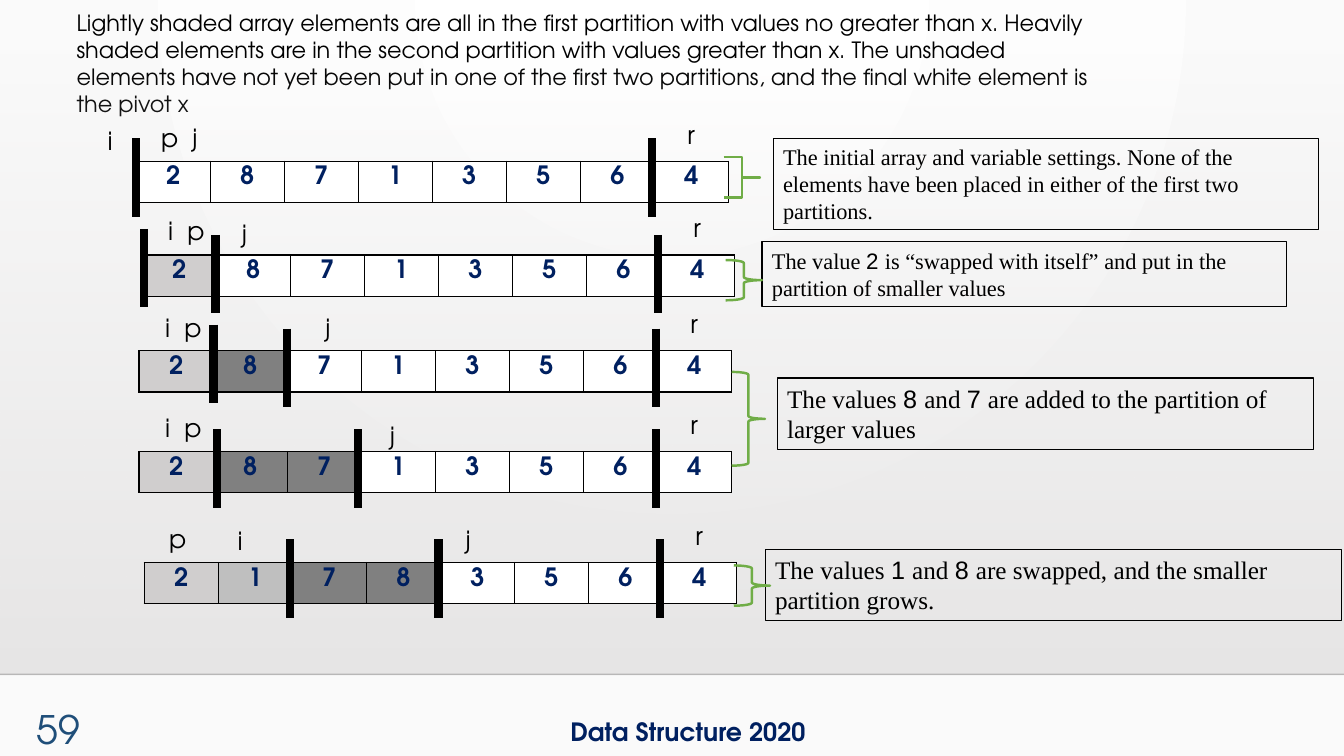
from lxml import etree
from pptx import Presentation
from pptx.dml.color import RGBColor
from pptx.enum.shapes import MSO_CONNECTOR, MSO_SHAPE
from pptx.enum.text import MSO_ANCHOR, MSO_AUTO_SIZE, PP_ALIGN
from pptx.oxml.ns import qn
from pptx.util import Emu, Pt

RECT, BRACE, STRAIGHT = MSO_SHAPE.RECTANGLE, MSO_SHAPE.RIGHT_BRACE, MSO_CONNECTOR.STRAIGHT
LEFT, CENTER, RIGHT = PP_ALIGN.LEFT, PP_ALIGN.CENTER, PP_ALIGN.RIGHT
TOP, NO_FIT = MSO_ANCHOR.TOP, MSO_AUTO_SIZE.NONE
SANS, SERIF, DIGITS = "TeX Gyre Adventor", "Times New Roman", "Arial"
BLACK, NAVY, GREEN = "000000", "002060", "70AD47"
WHITE, LIGHT, MID, HEAVY = "FFFFFF", "D0CECE", "BFBFBF", "808080"
ARRAY_W, ARRAY_H, BAR_H, LABEL_H = 588, 41, 78, 40
PIVOT_LABEL = ("r", 537, -47, 24)

# Labels are (text, dx, dy, width) and bars (dx, dy), both from the array's corner.
STEPS = [
    dict(x=135, y=160, values="28713564", shades=[],
         labels=[("p\tj", 15, -44, 74), ("i", -38, -41, 38)],
         bars=[(0, -23), (512, -23)]),
    dict(x=141, y=253, values="28713564", shades=[LIGHT],
         labels=[("i\tp", 16, -44, 74), ("j", 89, -41, 38)],
         bars=[(2, -26), (73, -20), (512, -20)]),
    dict(x=138, y=348, values="28713564", shades=[LIGHT, HEAVY],
         labels=[("i\tp", 16, -43, 74), ("j", 175, -43, 38)],
         bars=[(74, -26), (147, -22), (513, -22)]),
    dict(x=138, y=448, values="28713564", shades=[LIGHT, HEAVY, HEAVY],
         labels=[("i\tp", 16, -44, 74), ("j", 239, -36, 38)],
         bars=[(77, -22), (217, -22), (513, -22)]),
    dict(x=143, y=558, values="21783564", shades=[LIGHT, MID, HEAVY, HEAVY],
         labels=[("p", 15, -44, 53), ("i", 83, -42, 53), ("j", 309, -43, 38)],
         bars=[(145, -23), (292, -23), (512, -23)]),
]
TAB_STOPS = {"p\tj": 31, "i\tp": 19}

NOTES = [
    ((767, 137, 541, 91), 16, ["The initial array and variable settings. None of the elements "
                               "have been placed in either of the first two partitions."]),
    ((756, 240, 520, 64), 16, ["The value ", "2 ", "is “swapped with itself” and put in the "
                               "partition of smaller values"]),
    ((771, 375, 532, 71), 18, ["The values ", "8 ", "and ", "7 ",
                               "are added to the partition of larger values"]),
    ((759, 545, 572, 71), 18, ["The values ", "1 ", "and ", "8 ",
                               "are swapped, and the smaller partition grows."]),
]
BRACES = [((718, 156, 36, 40), [0, 0.5]), ((720, 258, 36, 40), []),
          ((726, 369, 33, 93), []), ((728, 561, 36, 40), [])]
INTRO = ("Lightly shaded array elements are all in the first partition with values no greater "
         "than x. Heavily shaded elements are in the second partition with values greater than x. "
         "The unshaded elements have not yet been put in one of the first two partitions, and "
         "the final white element is the pivot x")


def px(*lengths):
    """Turn lengths at 100 px to the inch into EMU."""
    return [Emu(n * 9144) for n in lengths]


def rgb(color):
    return RGBColor.from_string(color)


def add_run(p, text, size, color=BLACK, **fmt):
    r = p.add_run()
    r.text = text
    for name, value in {"name": SANS, "size": Pt(size), **fmt}.items():
        setattr(r.font, name, value)
    r.font.color.rgb = rgb(color)


def add_text(slide, box, text, size, color=BLACK, align=LEFT, wrap=True, **fmt):
    tf = slide.shapes.add_textbox(*px(*box)).text_frame
    tf.word_wrap = wrap
    p = tf.paragraphs[0]
    p.alignment = align
    if text in TAB_STOPS:
        tabs = etree.SubElement(p._p.get_or_add_pPr(), qn("a:tabLst"))
        etree.SubElement(tabs, qn("a:tab"), pos=str(px(TAB_STOPS[text])[0]), algn="l")
    add_run(p, text, size, color, **fmt)


def add_outline(slide, kind, box, color, width):
    sp = slide.shapes.add_shape(kind, *px(*box))
    sp.shadow.inherit = False
    sp.fill.background()
    sp.line.color.rgb = rgb(color)
    sp.line.width = Pt(width)
    return sp


def add_line(slide, x1, y1, x2, y2, width, color=BLACK):
    line = slide.shapes.add_connector(STRAIGHT, *px(x1, y1, x2, y2))
    line.line.color.rgb = rgb(color)
    line.line.width = Pt(width)
    etree.SubElement(line._element.spPr, qn("a:effectLst"))
    return line


def set_alpha(color_element, percent):
    etree.SubElement(color_element, qn("a:alpha"), val=str(percent * 1000))


def set_gradient(fill, first, last):
    fill.gradient()
    for stop, color in zip(fill.gradient_stops, (first, last)):
        stop.color.rgb = rgb(color)


def border_cell(cell):
    tcPr = cell._tc.get_or_add_tcPr()
    for i, side in enumerate(("lnL", "lnR", "lnT", "lnB")):
        ln = etree.Element(qn("a:" + side), w=str(Pt(1)))
        fill = etree.SubElement(ln, qn("a:solidFill"))
        etree.SubElement(fill, qn("a:srgbClr"), val=BLACK)
        tcPr.insert(i, ln)


def draw_backdrop(slide, w, h):
    set_gradient(slide.background.fill, WHITE, "FAFAFA")
    grad = next(slide._element.iter(qn("a:gradFill")))
    lin = grad.find(qn("a:lin"))
    circle = etree.Element(qn("a:path"))
    circle.set("path", "circle")
    etree.SubElement(circle, qn("a:fillToRect"), l="43000", t="0", r="43000", b="100000")
    grad.replace(lin, circle)

    panel = slide.shapes.add_shape(RECT, *px(0, 51, w, 618))
    panel.shadow.inherit = False
    panel.line.fill.background()
    set_gradient(panel.fill, "E7E6E6", "E8E7E7")
    panel.fill.gradient_angle = 270
    set_alpha(next(panel._element.iter(qn("a:srgbClr"))), 0)

    rule = add_line(slide, 0, 669, w, 669, 1, "000001")
    set_alpha(next(rule._element.iter(qn("a:srgbClr"))), 20)
    add_text(slide, (552, 706, 261, 40), "Data Structure 2020", 18, NAVY, CENTER, False, bold=True)
    add_text(slide, (0, 695, 89, 55), "59", 28, "1F4E79", RIGHT)


def draw_intro(slide, box):
    title = slide.shapes.title
    title.left, title.top, title.width, title.height = px(*box)
    tf = title.text_frame
    for name, value in {"word_wrap": True, "auto_size": NO_FIT, "vertical_anchor": TOP}.items():
        setattr(tf, name, value)
    tf.paragraphs[0].alignment = LEFT
    add_run(tf.paragraphs[0], INTRO, 16)


def draw_step(slide, x, y, values, shades, labels, bars):
    """Draw one array with its index labels and partition bars."""
    n = len(values)
    table = slide.shapes.add_table(1, n, *px(x, y, ARRAY_W, ARRAY_H)).table
    table.first_row = table.horz_banding = False
    shades = shades + [WHITE] * (n - len(shades))
    for column, cell, value, shade in zip(table.columns, table.rows[0].cells, values, shades):
        column.width = px(ARRAY_W / n)[0]
        cell.fill.solid()
        cell.fill.fore_color.rgb = rgb(shade)
        border_cell(cell)
        p = cell.text_frame.paragraphs[0]
        p.alignment = CENTER
        add_run(p, value, 18, NAVY, bold=True)
    for text, dx, dy, w in [PIVOT_LABEL, *labels]:
        add_text(slide, (x + dx, y + dy, w, LABEL_H), text, 18)
    for dx, dy in bars:
        add_line(slide, x + dx, y + dy, x + dx, y + dy + BAR_H, 6)


def draw_note(slide, box, size, parts):
    tf = add_outline(slide, RECT, box, BLACK, 0.75).text_frame
    tf.word_wrap = True
    tf.vertical_anchor = TOP
    p = tf.paragraphs[0]
    p.alignment = LEFT
    for part in parts:
        add_run(p, part, size, name=DIGITS if part.strip().isdigit() else SERIF)


def draw_brace(slide, box, adjustments):
    sp = add_outline(slide, BRACE, box, GREEN, 1.75)
    for i, value in enumerate(adjustments):
        sp.adjustments[i] = value


def main():
    prs = Presentation()
    prs.slide_width, prs.slide_height = px(4000 / 3, 750)
    slide = prs.slides.add_slide(prs.slide_layouts[5])
    draw_backdrop(slide, 4000 / 3, 750)
    draw_intro(slide, (66, 4, 1036, 118))
    for step in STEPS:
        draw_step(slide, **step)
    for note in NOTES:
        draw_note(slide, *note)
    for brace in BRACES:
        draw_brace(slide, *brace)
    prs.save("out.pptx")


if __name__ == "__main__":
    main()
